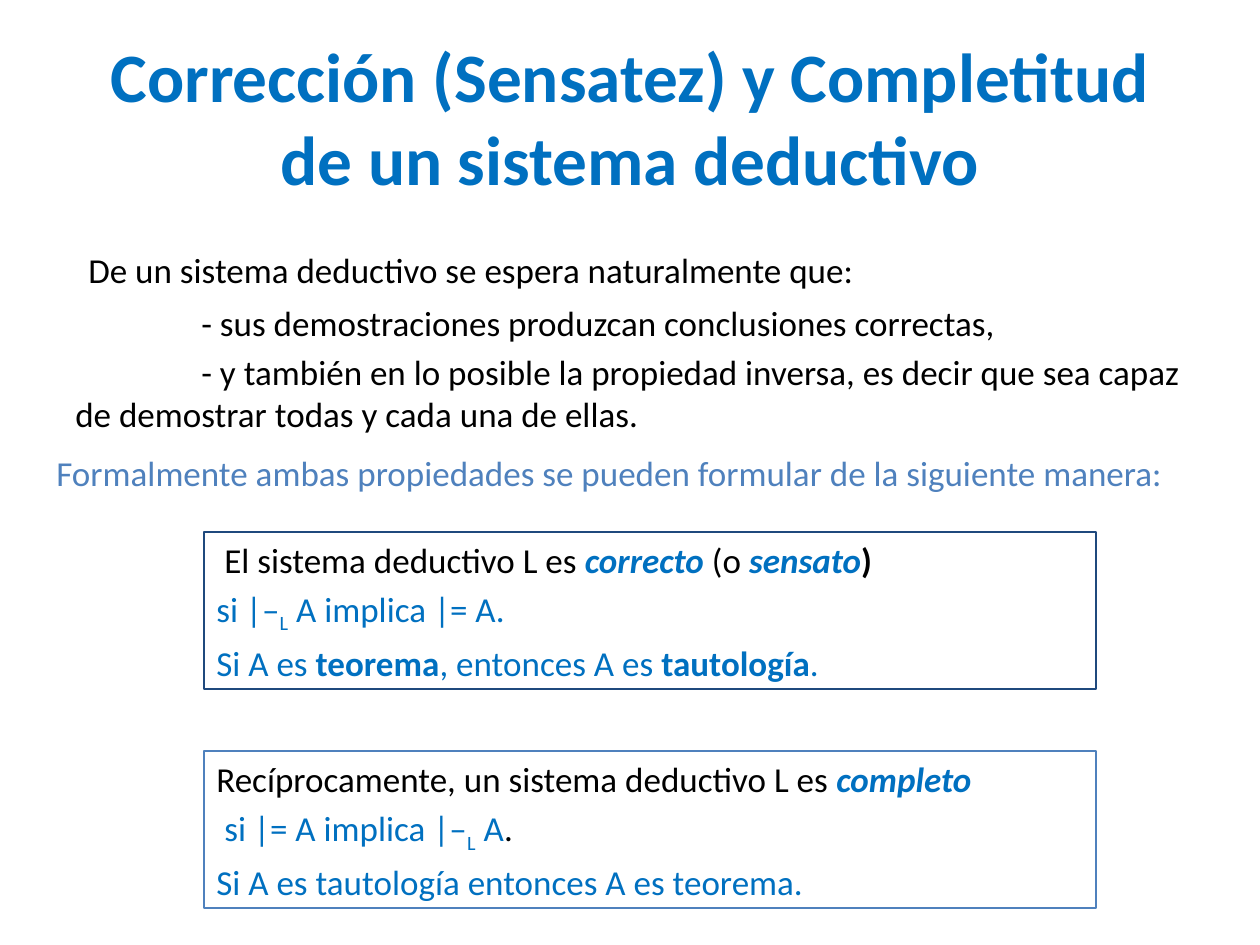
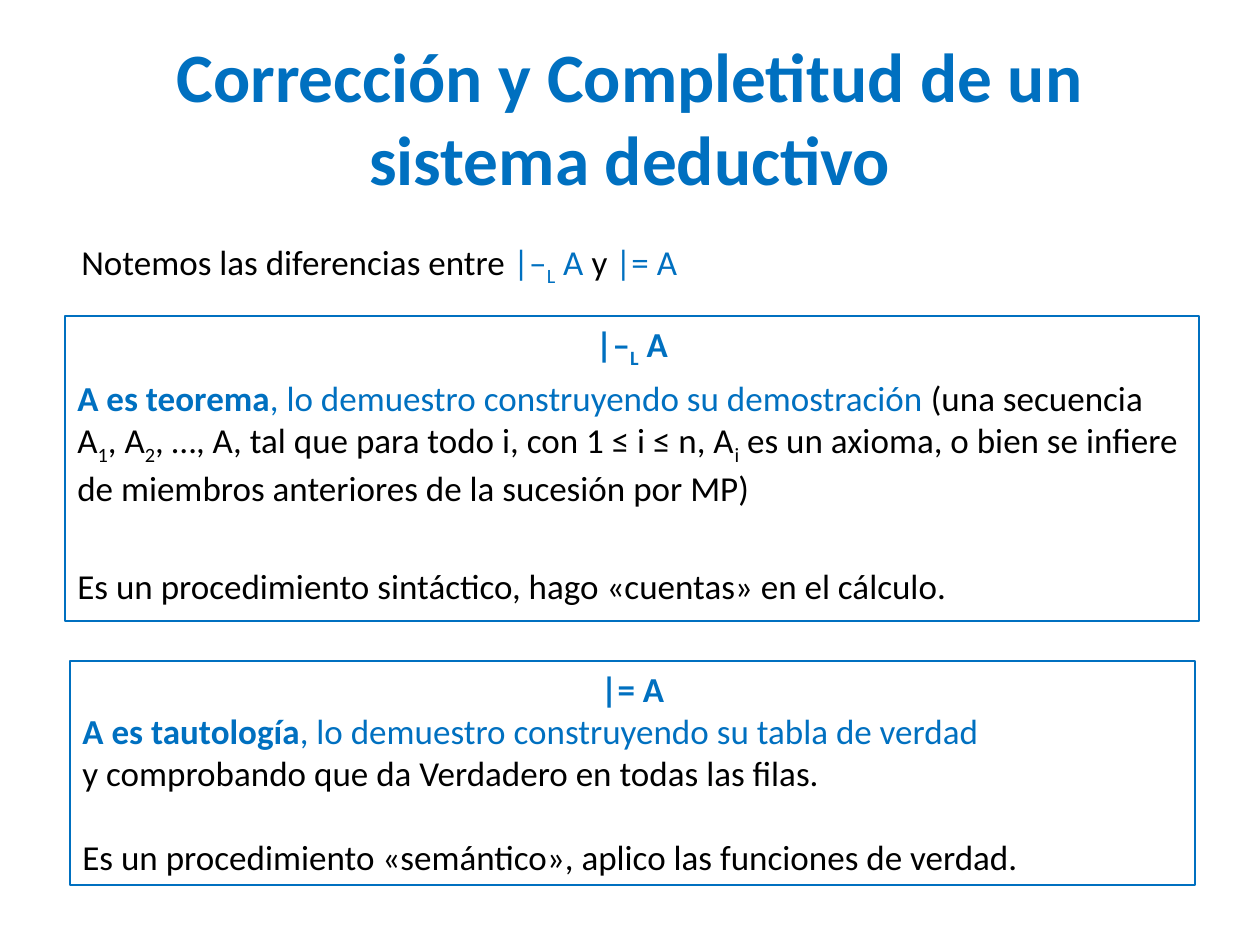
from dataclasses import dataclass

from pptx import Presentation
from pptx import util as u
from pptx.dml import color as c
from pptx.enum import shapes, text

PX = 914400 / 126


@dataclass(frozen=True)
class Theme:
    font: str = "Calibri"
    ink: str = "000000"
    accent: str = "0070C0"
    soft: str = "4F81BD"
    navy: str = "1F497D"
    title_size: float = 39.6
    body_size: float = 20
    gap: float = 4
    line_width: float = 0.75


THEME = Theme()


def px(length):
    return u.Emu(round(length * PX))


def rgb(value):
    return c.RGBColor.from_string(value)


def write(paragraph, words, color=THEME.ink, size=THEME.body_size,
          bold=False, italic=False, sub=False):
    run = paragraph.add_run()
    run.text = words
    font = run.font
    font.name, font.size = THEME.font, u.Pt(size)
    font.bold, font.italic = bold, italic
    font.color.rgb = rgb(color)
    if sub:
        run._r.get_or_add_rPr().set("baseline", "-25000")


def para(*runs, before=THEME.gap, indent=0, center=False):
    return runs, before, indent, center


def ink(words, **style):
    return words, style


def blue(words, **style):
    return words, dict(style, color=THEME.accent)


def derives(tail="", **style):
    return (blue("|–", **style), blue("L", sub=True, **style),
            blue(" A" + tail, **style))


def fill_text(holder, paragraphs, anchor=text.MSO_ANCHOR.TOP):
    frame = holder.text_frame
    frame.word_wrap = True
    frame.auto_size = text.MSO_AUTO_SIZE.NONE
    frame.vertical_anchor = anchor
    for index, (runs, before, indent, center) in enumerate(paragraphs):
        paragraph = frame.add_paragraph() if index else frame.paragraphs[0]
        paragraph.alignment = text.PP_ALIGN.CENTER if center else text.PP_ALIGN.LEFT
        paragraph.space_before = u.Pt(before if index else 0)
        if indent:
            paragraph._p.get_or_add_pPr().set("indent", str(px(indent)))
        for words, style in runs:
            write(paragraph, words, **style)


def add_text(slide, area, *paragraphs, **layout):
    holder = slide.shapes.add_textbox(*map(px, area))
    fill_text(holder, paragraphs, **layout)


def add_framed_text(slide, area, border, *paragraphs):
    frame = slide.shapes.add_shape(shapes.MSO_SHAPE.RECTANGLE, *map(px, area))
    frame.shadow.inherit = False
    frame.fill.background()
    frame.line.color.rgb = rgb(border)
    frame.line.width = u.Pt(THEME.line_width)
    fill_text(frame, paragraphs)


def add_titled_slide(deck, title):
    slide = deck.slides.add_slide(deck.slide_layouts[6])
    heading = para(blue(title, size=THEME.title_size, bold=True), center=True)
    add_text(slide, (63, 38, 1134, 157), heading, anchor=text.MSO_ANCHOR.MIDDLE)
    return slide


def build_definitions(deck):
    slide = add_titled_slide(
        deck, "Corrección (Sensatez) y Completitud de un sistema deductivo")
    add_text(
        slide, (63, 242, 1134, 201),
        para(ink("De un sistema deductivo se espera naturalmente que:"), indent=13),
        para(ink("- sus demostraciones produzcan conclusiones correctas,"),
             before=6.5, indent=126),
        para(ink("- y también en lo posible la propiedad inversa, es decir que sea "
                 "capaz de demostrar todas y cada una de ellas."), indent=126))
    add_text(
        slide, (44, 445, 1246, 55),
        para(ink("Formalmente ambas propiedades se pueden formular de la siguiente "
                 "manera:", color=THEME.soft)))
    add_framed_text(
        slide, (204, 532, 892, 157), THEME.navy,
        para(ink("El sistema deductivo L es "),
             blue("correcto ", bold=True, italic=True), ink("(o "),
             blue("sensato", bold=True, italic=True), ink(")", bold=True), indent=8),
        para(blue("si "), *derives(" implica |= A.")),
        para(blue("Si A es "), blue("teorema", bold=True),
             blue(", entonces A es "), blue("tautología", bold=True), blue(".")))
    add_framed_text(
        slide, (204, 751, 892, 157), THEME.soft,
        para(ink("Recíprocamente, un sistema deductivo L es "),
             blue("completo", bold=True, italic=True)),
        para(blue("si |= A implica "), *derives(), ink("."), indent=8),
        para(blue("Si A es tautología entonces A es teorema.")))


def build_differences(deck):
    slide = add_titled_slide(deck, "Corrección y Completitud de un sistema deductivo")
    add_text(
        slide, (69, 234, 1179, 55),
        para(ink("Notemos las diferencias entre "), *derives(" "),
             ink("y"), blue(" |= A")))
    add_framed_text(
        slide, (65, 316, 1134, 305), THEME.accent,
        para(*derives(bold=True), center=True),
        para(blue("A es teorema", bold=True),
             blue(", lo demuestro construyendo su demostración "),
             ink("(una secuencia A"), ink("1", sub=True),
             ink(", A"), ink("2", sub=True),
             ink(", …, A, tal que para todo i, con 1 ≤ i ≤ n, A"),
             ink("i", sub=True),
             ink(" es un axioma, o bien se infiere de miembros anteriores "
                 "de la sucesión por MP)")),
        para(ink("Es un procedimiento sintáctico, hago «cuentas» en el cálculo."),
             before=32))
    add_framed_text(
        slide, (70, 661, 1125, 224), THEME.accent,
        para(blue("|= A", bold=True), center=True),
        para(blue("A es tautología", bold=True),
             blue(", lo demuestro construyendo su tabla de verdad"), before=0),
        para(ink("y comprobando que da Verdadero en todas las filas."), before=0),
        para(ink("Es un procedimiento «semántico», aplico las funciones de verdad."),
             before=24))


def main():
    deck = Presentation()
    deck.slide_width, deck.slide_height = px(1260), px(945)
    build_definitions(deck)
    build_differences(deck)
    deck.save("out.pptx")


if __name__ == "__main__":
    main()
